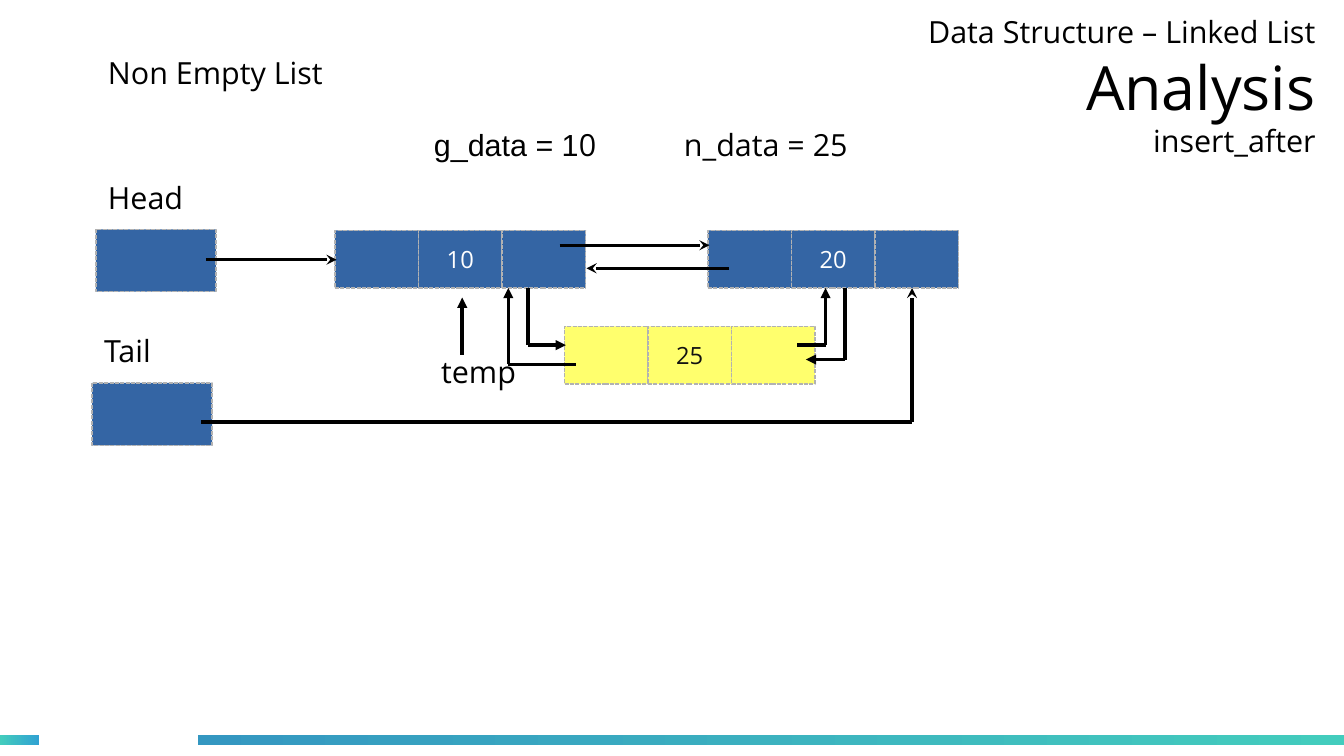
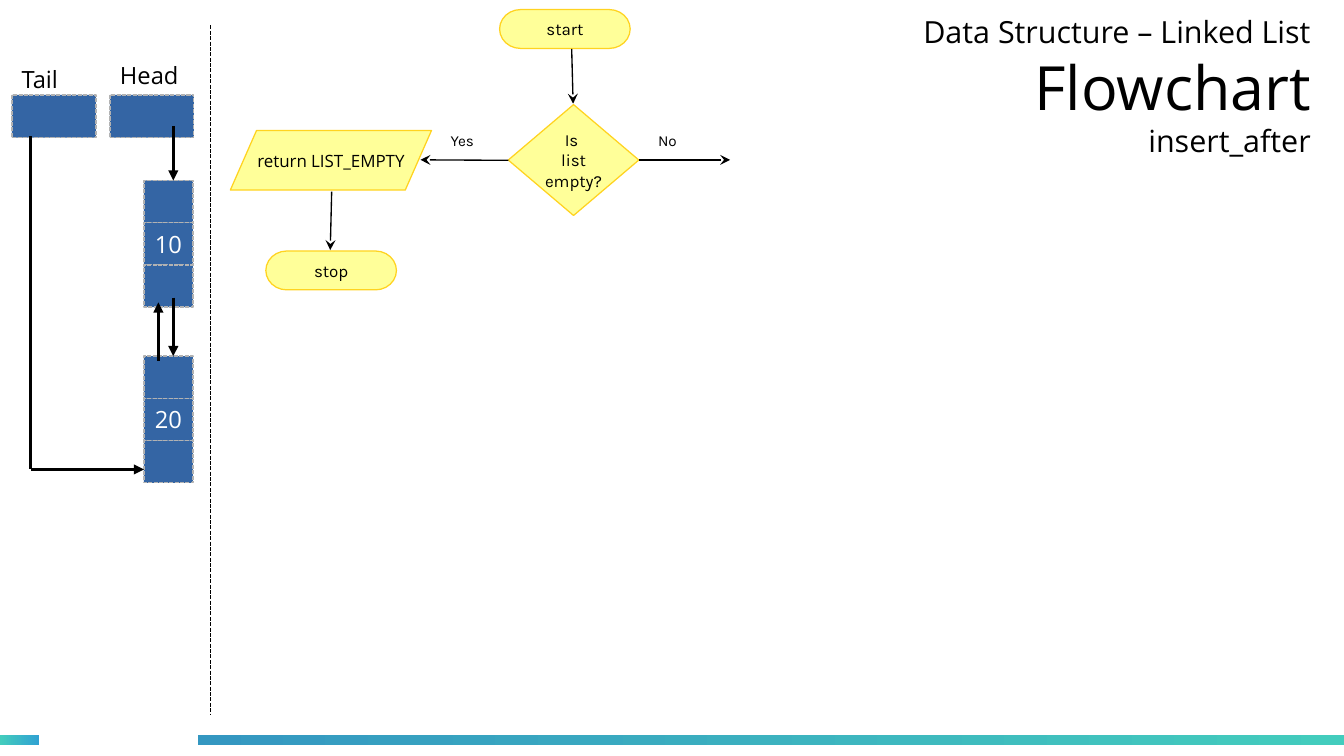
from lxml.etree import SubElement
from pptx import Presentation
from pptx.dml.color import RGBColor
from pptx.enum.dml import MSO_LINE
from pptx.enum.shapes import MSO_CONNECTOR, MSO_SHAPE
from pptx.enum.text import MSO_ANCHOR, MSO_AUTO_SIZE, PP_ALIGN
from pptx.oxml.ns import qn
from pptx.util import Cm, Pt

BLACK = RGBColor(0x00, 0x00, 0x00)
WHITE = RGBColor(0xFF, 0xFF, 0xFF)
INK = RGBColor(0x11, 0x11, 0x11)
BLUE = RGBColor(0x34, 0x65, 0xA4)
YELLOW = RGBColor(0xFF, 0xFF, 0x6D)
CREAM = RGBColor(0xFF, 0xFF, 0x99)
GOLD = RGBColor(0xFF, 0xD3, 0x20)
GREY = RGBColor(0xB2, 0xB2, 0xB2)
TEAL = RGBColor(0x43, 0xCC, 0xBD)
SKY = RGBColor(0x30, 0xA2, 0xD2)
OCEAN = RGBColor(0x34, 0x97, 0xC1)

SANS, KARLA, ARIAL = "Open Sans", "Karla", "Arial"
HAIR, THIN = Pt(0), Pt(0.79)


def add_run(p, text, size, font=SANS, color=BLACK):
    r = p.add_run()
    r.text = text
    r.font.size = Pt(size)
    r.font.name = font
    r.font.color.rgb = color


def label(s, x, y, w, text, size=18, font=SANS):
    tb = s.shapes.add_textbox(Cm(x), Cm(y), Cm(w), Cm(1.1))
    tf = tb.text_frame
    tf.word_wrap = True
    runs = [(text, font)] if isinstance(text, str) else text
    for part, face in runs:
        add_run(tf.paragraphs[0], part, size, face)


def block(s, kind, x, y, w, h, fill, line, width, lines=(), size=14,
          font=SANS, color=BLACK):
    sp = s.shapes.add_shape(kind, Cm(x), Cm(y), Cm(w), Cm(h))
    sp.shadow.inherit = False
    sp.fill.solid()
    sp.fill.fore_color.rgb = fill
    sp.line.color.rgb = line
    sp.line.width = width
    tf = sp.text_frame
    tf.word_wrap = False
    tf.vertical_anchor = MSO_ANCHOR.MIDDLE
    for i, text in enumerate(lines):
        p = tf.add_paragraph() if i else tf.paragraphs[0]
        p.alignment = PP_ALIGN.CENTER
        add_run(p, text, size, font, color)
    return sp


def cell(s, x, y, w, h, fill=BLUE, lines=(), color=WHITE):
    sp = block(s, MSO_SHAPE.RECTANGLE, x, y, w, h, fill, GREY, THIN, lines,
               color=color)
    sp.line.dash_style = MSO_LINE.SQUARE_DOT


def node(s, x, y, w, h, value, dx=0, dy=0, fill=BLUE, color=WHITE):
    for i, lines in enumerate(((), (value,), ())):
        cell(s, x + i * dx, y + i * dy, w, h, fill, lines, color)


def route(s, x, y, points, arrow=None, width=HAIR, dash=None):
    legs = list(zip(points, points[1:]))
    for i, ((x1, y1), (x2, y2)) in enumerate(legs):
        c = s.shapes.add_connector(MSO_CONNECTOR.STRAIGHT, Cm(x + x1),
                                   Cm(y + y1), Cm(x + x2), Cm(y + y2))
        c.line.color.rgb = BLACK
        c.line.width = width
        if dash:
            c.line.dash_style = dash
        if arrow and i == len(legs) - 1:
            SubElement(c.line._get_or_add_ln(), qn("a:tailEnd"), type=arrow)
        SubElement(c.element.spPr, qn("a:effectLst"))


def footer_bands(prs, s):
    for x, w, left, right in ((0, 0.82, TEAL, SKY), (4.13, 23.87, OCEAN, TEAL)):
        sp = s.shapes.add_shape(MSO_SHAPE.RECTANGLE, Cm(x), Cm(15.32), Cm(w),
                                Cm(0.21))
        sp.shadow.inherit = False
        sp.line.fill.background()
        sp.fill.gradient()
        sp.fill.gradient_angle = 0
        for stop, color in zip(sp.fill.gradient_stops, (left, right)):
            stop.color.rgb = color
        prs.slide_master.shapes.element.append(sp.element)


def titled_slide(prs, heading, x):
    s = prs.slides.add_slide(prs.slide_layouts[5])
    title = s.shapes.title
    title.left, title.top = Cm(x), Cm(-0.05)
    title.width, title.height = Cm(8.79), Cm(3.68)
    tf = title.text_frame
    tf.margin_left = tf.margin_right = tf.margin_top = tf.margin_bottom = 0
    tf.word_wrap = True
    tf.auto_size = MSO_AUTO_SIZE.NONE
    tf.vertical_anchor = MSO_ANCHOR.MIDDLE
    p = tf.paragraphs[0]
    p.alignment = PP_ALIGN.RIGHT
    for text, size in (("Data Structure – Linked List", 18), (heading, 36)):
        add_run(p, text, size)
        p.add_line_break()
        SubElement(p._p.findall(qn("a:br"))[-1], qn("a:rPr"),
                   sz=str(size * 100))
    add_run(p, "insert_after", 18)
    return s


def insertion_diagram(s, x, y):
    label(s, x + 6.79, y, 4.2, [("g_data = 1", ARIAL), ("0", SANS)])
    label(s, x + 12, y, 5, "n_data = 25")
    for name, dx, dy in (("Head", 0, 1.1), ("Tail", -0.08, 4.3)):
        label(s, x + dx, y + dy, 2.8, name)
        cell(s, x + dx, y + dy + 1.18, 2.5, 1.3)
    for value, dx, dy, fill, color in (("10", 4.98, 2.3, BLUE, WHITE),
                                       ("20", 12.75, 2.3, BLUE, WHITE),
                                       ("25", 9.76, 4.3, YELLOW, INK)):
        node(s, x + dx, y + dy, 1.74, 1.2, value, dx=1.74, fill=fill,
             color=color)
    label(s, x + 6.94, y + 4.74, 2.16, "temp")
    for points in (((2.29, 2.91), (5.01, 2.91)),
                   ((2.19, 6.29), (17, 6.29), (17, 3.5)),
                   ((9.66, 2.61), (12.78, 2.61)),
                   ((13.19, 3.09), (10.22, 3.09))):
        route(s, x, y, points, "stealth")
    for points in (((7.63, 4.89), (7.63, 3.7)),
                   ((9, 3.5), (9, 4.69), (9.79, 4.69)),
                   ((9.99, 5.09), (8.59, 5.09), (8.59, 3.5)),
                   ((14.61, 4.69), (15.2, 4.69), (15.2, 3.5)),
                   ((15.6, 3.5), (15.6, 4.99), (14.79, 4.99))):
        route(s, x, y, points, "triangle")


def list_column(s, x, y):
    for name, dx, lx, ly in (("Tail", 0, -0.05, 0.02),
                             ("Head", 2.04, 2, -0.06)):
        cell(s, x + dx, y + 0.78, 1.75, 0.89)
        label(s, x + lx, y + ly, 1.9, name, 14)
    for value, dy in (("10", 2.56), ("20", 6.22)):
        node(s, x + 2.75, y + dy, 1.02, 0.88, value, dy=0.88)
    for points in (((3.36, 1.42), (3.36, 2.56)),
                   ((3.36, 5), (3.36, 6.22)),
                   ((3.05, 6.32), (3.05, 5.1)),
                   ((0.39, 1.64), (0.39, 8.58), (2.75, 8.58))):
        route(s, x, y, points, "triangle")


def flowchart(s, x, y):
    steps = (
        (MSO_SHAPE.FLOWCHART_TERMINATOR, 5.61, 0, 2.72, 0.81, ["start"], KARLA),
        (MSO_SHAPE.FLOWCHART_DECISION, 5.79, 1.98, 2.72, 2.31,
         ["Is ", "list", "empty?"], KARLA),
        (MSO_SHAPE.PARALLELOGRAM, 0, 2.52, 4.19, 1.24,
         ["return LIST_EMPTY"], SANS),
        (MSO_SHAPE.FLOWCHART_TERMINATOR, 0.74, 5.03, 2.72, 0.81, ["stop"],
         KARLA),
    )
    for kind, dx, dy, w, h, lines, font in steps:
        sp = block(s, kind, x + dx, y + dy, w, h, CREAM, GOLD, HAIR, lines, 10,
                   font)
        if kind == MSO_SHAPE.PARALLELOGRAM:
            sp.adjustments[0] = 0.44
    for text, dx, w in (("Yes", 4.34, 1.55), ("No", 8.66, 1.2)):
        label(s, x + dx, y + 2.42, w, text, 9, KARLA)
    for points in (((7.11, 0.82), (7.14, 1.96)),
                   ((5.79, 3.14), (3.96, 3.13)),
                   ((8.51, 3.13), (10.41, 3.13)),
                   ((2.11, 3.79), (2.08, 5.01))):
        route(s, x, y, points, "stealth", THIN)


def main():
    prs = Presentation()
    prs.slide_width, prs.slide_height = Cm(28), Cm(15.75)

    s = titled_slide(prs, "Analysis", 18.62)
    footer_bands(prs, s)
    label(s, 2, 1, 7.2, "Non Empty List")
    insertion_diagram(s, 2, 2.5)

    s = titled_slide(prs, "Flowchart", 18.52)
    list_column(s, 0.25, 1.2)
    route(s, 4.39, 0.53, ((0, 0), (0, 14.35)), None, THIN, MSO_LINE.SQUARE_DOT)
    flowchart(s, 4.8, 0.2)

    prs.save("out.pptx")


if __name__ == "__main__":
    main()
